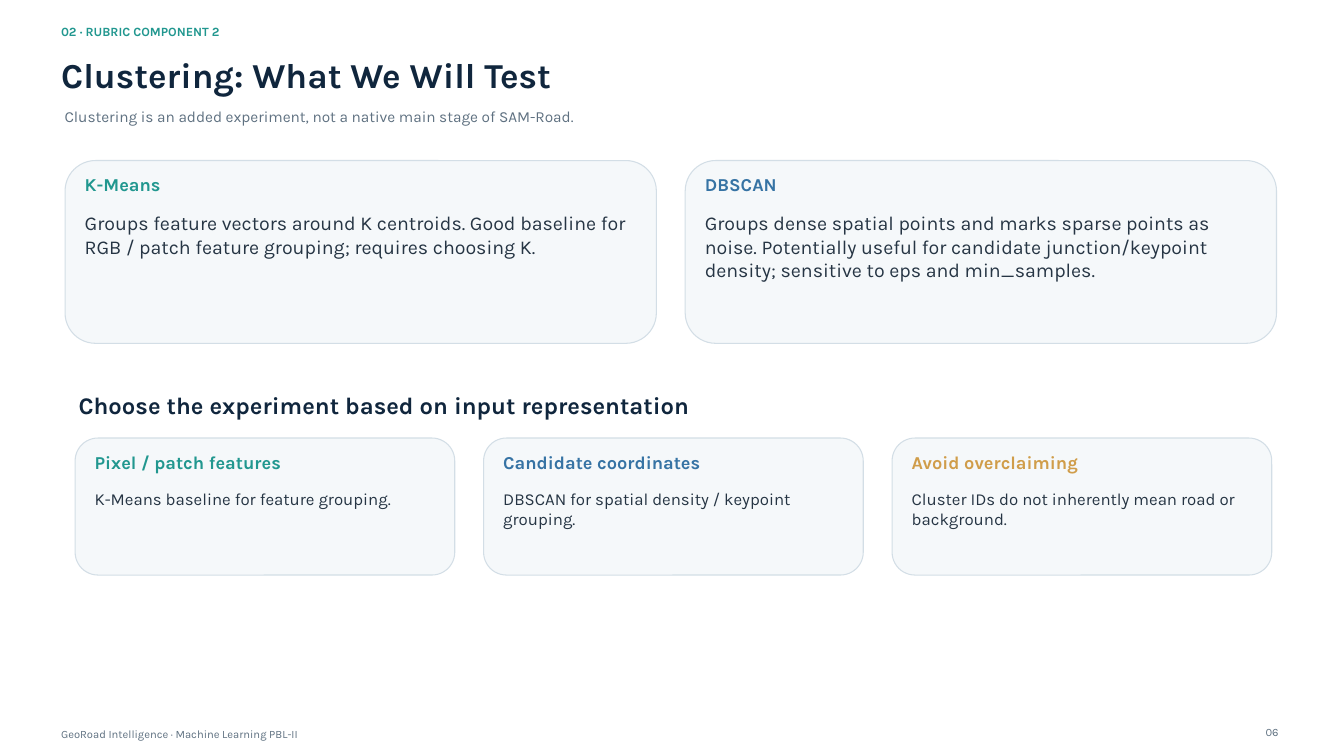
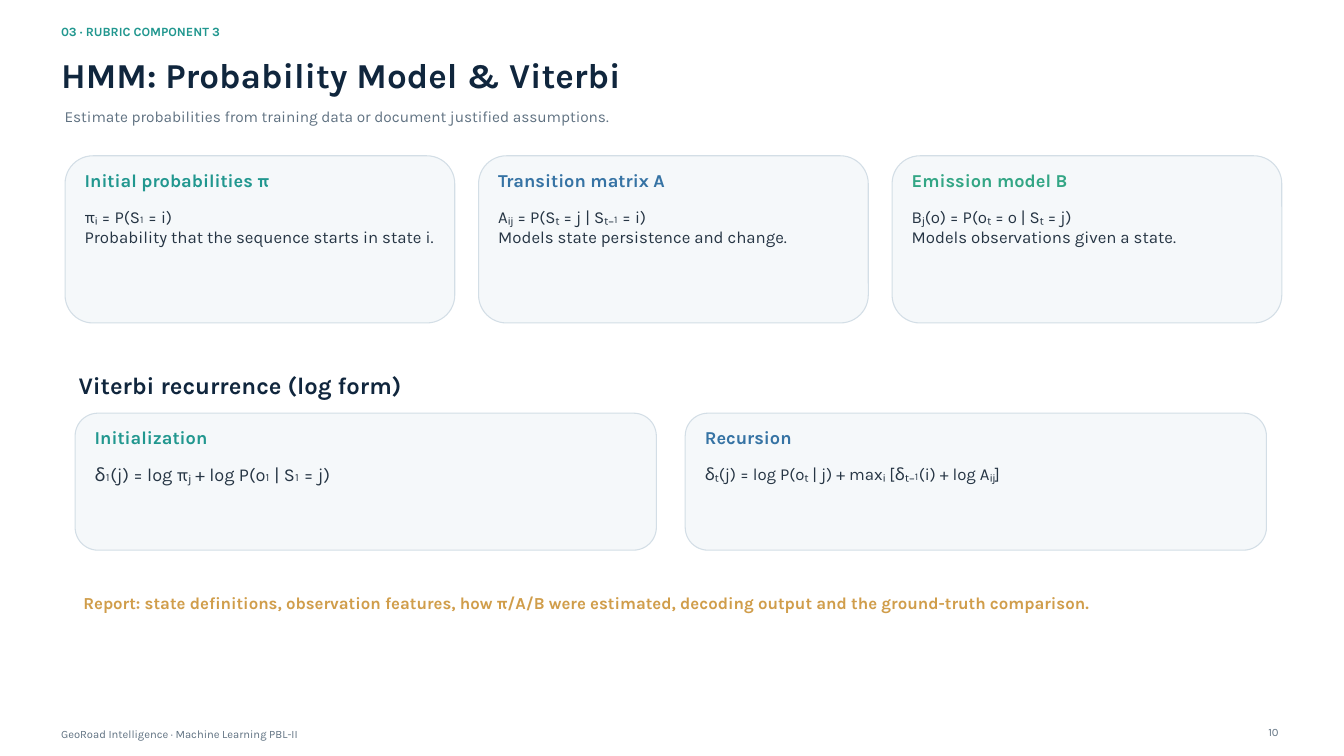
from dataclasses import dataclass
from typing import NamedTuple

from pptx import Presentation
from pptx.dml.color import RGBColor
from pptx.enum.shapes import MSO_SHAPE
from pptx.enum.text import MSO_ANCHOR, MSO_AUTO_SIZE, PP_ALIGN
from pptx.util import Cm, Pt

FONT = "Karla"
LEADING = 1.2
COLORS = {
    "navy": "10263D",
    "ink": "263544",
    "slate": "5F7181",
    "teal": "21978F",
    "blue": "3673A4",
    "green": "33A685",
    "gold": "D09D4A",
    "panel": "F5F8FA",
    "border": "D3DEE6",
}
FRAME = {
    "margin_left": 0,
    "margin_top": 0,
    "margin_right": 0,
    "margin_bottom": 0,
    "word_wrap": True,
    "auto_size": MSO_AUTO_SIZE.NONE,
    "vertical_anchor": MSO_ANCHOR.TOP,
}
FOOTER = "GeoRoad Intelligence · Machine Learning PBL-II"
CARD_INSET = 0.74
CARD_HEAD_TOP = 0.5
CARD_BODY_TOP = 1.91
CARD_BODY_TRIM = 2.33


class Box(NamedTuple):
    left: float
    top: float
    width: float
    height: float


class Style(NamedTuple):
    size: float
    color: str
    bold: bool = False
    align: PP_ALIGN = PP_ALIGN.LEFT


EYEBROW = Style(13.5, "teal", True)
TITLE = Style(37.5, "navy", True)
SUBTITLE = Style(16.5, "slate")
HEADING = Style(25.5, "navy", True)
NOTE = Style(18, "gold", True)
SMALL = Style(12, "slate")
PAGE = Style(12, "slate", align=PP_ALIGN.RIGHT)

EYEBROW_BOX = Box(2.31, 0.91, 45.92, 0.66)
TITLE_BOX = Box(2.31, 2.01, 45.92, 1.78)
SUBTITLE_BOX = Box(2.44, 4.06, 45.54, 0.94)
NOTE_BOX = Box(3.15, 22.4, 44.02, 2.46)
FOOTER_BOX = Box(2.31, 27.48, 39.83, 0.41)
PAGE_BOX = Box(46.43, 27.41, 1.9, 0.46)


@dataclass
class Card:
    head: str
    color: str
    body: str
    size: float = 18


@dataclass
class CardRow:
    first: Box
    gap: float
    cards: list[Card]


@dataclass
class Page:
    number: str
    eyebrow: str
    title: str
    subtitle: str
    heading: str
    heading_top: float
    rows: list[CardRow]
    note: str = ""


PAGES = [
    Page(
        "06",
        "02 · RUBRIC COMPONENT 2",
        "Clustering: What We Will Test",
        "Clustering is an added experiment, not a native main stage of SAM-Road.",
        "Choose the experiment based on input representation",
        14.78,
        [
            CardRow(Box(2.46, 6.07, 22.35, 6.91), 1.09, [
                Card("K-Means", "teal",
                     "Groups feature vectors around K centroids. Good baseline for "
                     "RGB / patch feature grouping; requires choosing K.", 21),
                Card("DBSCAN", "blue",
                     "Groups dense spatial points and marks sparse points as noise. "
                     "Potentially useful for candidate junction/keypoint density; "
                     "sensitive to eps and min_samples.", 21),
            ]),
            CardRow(Box(2.84, 16.56, 14.35, 5.18), 1.09, [
                Card("Pixel / patch features", "teal",
                     "K-Means baseline for feature grouping."),
                Card("Candidate coordinates", "blue",
                     "DBSCAN for spatial density / keypoint grouping."),
                Card("Avoid overclaiming", "gold",
                     "Cluster IDs do not inherently mean road or background."),
            ]),
        ],
    ),
    Page(
        "10",
        "03 · RUBRIC COMPONENT 3",
        "HMM: Probability Model & Viterbi",
        "Estimate probabilities from training data or document justified assumptions.",
        "Viterbi recurrence (log form)",
        14.02,
        [
            CardRow(Box(2.46, 5.89, 14.73, 6.32), 0.9, [
                Card("Initial probabilities π", "teal",
                     "πᵢ = P(S₁ = i)\nProbability that the sequence starts in state i."),
                Card("Transition matrix A", "blue",
                     "Aᵢⱼ = P(Sₜ = j | Sₜ₋₁ = i)\nModels state persistence and change."),
                Card("Emission model B", "green",
                     "Bⱼ(o) = P(oₜ = o | Sₜ = j)\nModels observations given a state."),
            ]),
            CardRow(Box(2.84, 15.62, 21.97, 5.18), 1.09, [
                Card("Initialization", "teal", "δ₁(j) = log πⱼ + log P(o₁ | S₁ = j)", 19.5),
                Card("Recursion", "blue",
                     "δₜ(j) = log P(oₜ | j) + maxᵢ [δₜ₋₁(i) + log Aᵢⱼ]"),
            ]),
        ],
        "Report: state definitions, observation features, how π/A/B were estimated, "
        "decoding output and the ground-truth comparison.",
    ),
]


def rgb(name: str) -> RGBColor:
    return RGBColor.from_string(COLORS[name])


def set_all(target, values: dict) -> None:
    for name, value in values.items():
        setattr(target, name, value)


def emu(box: Box) -> list[Cm]:
    return [Cm(length) for length in box]


def write(tf, text: str, style: Style) -> None:
    set_all(tf, FRAME)
    for i, line in enumerate(text.split("\n")):
        p = tf.add_paragraph() if i else tf.paragraphs[0]
        set_all(p, {"alignment": style.align, "line_spacing": Pt(style.size * LEADING)})
        r = p.add_run()
        r.text = line
        set_all(r.font, {"name": FONT, "size": Pt(style.size), "bold": style.bold})
        r.font.color.rgb = rgb(style.color)


def add_text(shapes, box: Box, text: str, style: Style) -> None:
    write(shapes.add_textbox(*emu(box)).text_frame, text, style)


def add_title(s, text: str) -> None:
    sp = s.shapes.title
    set_all(sp, dict(zip(("left", "top", "width", "height"), emu(TITLE_BOX))))
    write(sp.text_frame, text, TITLE)


def add_card(s, box: Box, card: Card) -> None:
    shapes = s.shapes.add_group_shape().shapes
    sp = shapes.add_shape(MSO_SHAPE.ROUNDED_RECTANGLE, *emu(box))
    sp.shadow.inherit = False
    sp.fill.solid()
    sp.fill.fore_color.rgb = rgb("panel")
    sp.line.color.rgb = rgb("border")
    sp.line.width = Pt(1.13)
    left, width = box.left + CARD_INSET, box.width - 2 * CARD_INSET
    add_text(shapes, Box(left, box.top + CARD_HEAD_TOP, width, 0.94),
             card.head, Style(19.5, card.color, True))
    add_text(shapes, Box(left, box.top + CARD_BODY_TOP, width, box.height - CARD_BODY_TRIM),
             card.body, Style(card.size, "ink"))


def add_row(s, row: CardRow) -> None:
    step = row.first.width + row.gap
    for i, card in enumerate(row.cards):
        add_card(s, row.first._replace(left=row.first.left + i * step), card)


def add_page(prs, page: Page) -> None:
    s = prs.slides.add_slide(prs.slide_layouts[5])
    add_text(s.shapes, EYEBROW_BOX, page.eyebrow, EYEBROW)
    add_title(s, page.title)
    add_text(s.shapes, SUBTITLE_BOX, page.subtitle, SUBTITLE)
    upper, lower = page.rows
    add_row(s, upper)
    add_text(s.shapes, Box(2.97, page.heading_top, 44.78, 1.14), page.heading, HEADING)
    add_row(s, lower)
    if page.note:
        add_text(s.shapes, NOTE_BOX, page.note, NOTE)
    add_text(s.shapes, FOOTER_BOX, FOOTER, SMALL)
    add_text(s.shapes, PAGE_BOX, page.number, PAGE)


def main() -> None:
    prs = Presentation()
    set_all(prs, {"slide_width": Cm(50.8), "slide_height": Cm(28.58)})
    for page in PAGES:
        add_page(prs, page)
    prs.save("out.pptx")


if __name__ == "__main__":
    main()
